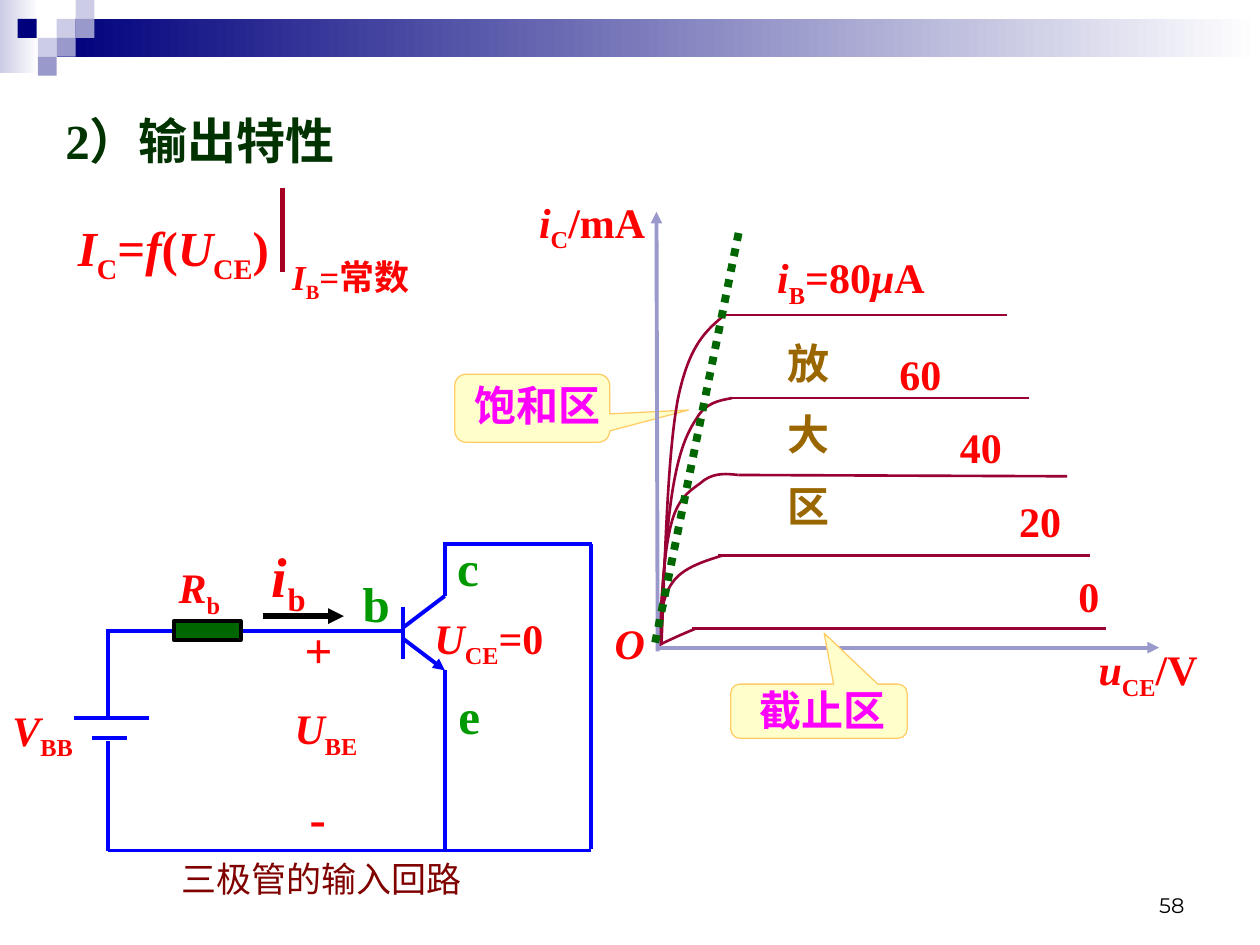
from lxml.etree import SubElement
from pptx import Presentation
from pptx.dml.color import RGBColor
from pptx.enum.dml import MSO_LINE
from pptx.enum.shapes import MSO_CONNECTOR, MSO_SHAPE
from pptx.enum.text import MSO_ANCHOR, MSO_AUTO_SIZE, PP_ALIGN
from pptx.oxml.ns import qn
from pptx.util import Inches, Pt

RED, WIRE, AXIS, CURVE = "FF0000", "0000FF", "9999CC", "990033"
NAVY, PALE, GREEN, MAGENTA = "00007D", "CCCCE6", "009900", "FF00FF"


def color(value):
    return RGBColor.from_string(value)


def it(text):
    return text, "italic"


def sub(text):
    return text, "sub"


class SlideBuilder:
    font = "Times New Roman"

    def __init__(self, slide):
        self.slide = slide

    def outline(self, sp, line, width, dash=None):
        sp.line.color.rgb = color(line)
        sp.line.width = Pt(width)
        if dash:
            sp.line.dash_style = dash

    def shape(self, x, y, w, h, fill, line=None, width=0.75, kind=MSO_SHAPE.RECTANGLE, adj=()):
        sp = self.slide.shapes.add_shape(kind, Inches(x), Inches(y), Inches(w), Inches(h))
        sp.shadow.inherit = False
        for i, value in enumerate(adj):
            sp.adjustments[i] = value
        if isinstance(fill, tuple):
            sp.fill.gradient()
            sp.fill.gradient_angle = 0
            for stop, value in zip(sp.fill.gradient_stops, fill):
                stop.color.rgb = color(value)
        else:
            sp.fill.solid()
            sp.fill.fore_color.rgb = color(fill)
        if line:
            self.outline(sp, line, width)
        else:
            sp.line.fill.background()

    def callout(self, x, y, w, h, adj):
        self.shape(x, y, w, h, "FFFFCC", "FFCC66",
                   kind=MSO_SHAPE.ROUNDED_RECTANGULAR_CALLOUT, adj=adj)

    def line(self, x1, y1, x2, y2, line, width=2.25, arrow=False):
        sp = self.slide.shapes.add_connector(
            MSO_CONNECTOR.STRAIGHT, Inches(x1), Inches(y1), Inches(x2), Inches(y2))
        self.outline(sp, line, width)
        if arrow:
            SubElement(sp.line._get_or_add_ln(), qn("a:tailEnd"), type="triangle")
        SubElement(sp._element.spPr, qn("a:effectLst"))

    def curve(self, points, line, width, dash=None):
        """Joined cubic curves: a start, then three points per curve."""
        start, *rest = [(Inches(x), Inches(y)) for x, y in points]
        fb = self.slide.shapes.build_freeform(*start)
        fb.add_line_segments(rest, close=False)
        sp = fb.convert_to_shape()
        # Turn every three straight segments into one cubic curve
        segments = list(sp._element.iter(qn("a:lnTo")))
        outline = segments[0].getparent()
        for i in range(0, len(segments), 3):
            cubic = SubElement(outline, qn("a:cubicBezTo"))
            for segment in segments[i:i + 3]:
                cubic.append(segment[0])
                outline.remove(segment)
        sp.shadow.inherit = False
        sp.fill.background()
        self.outline(sp, line, width, dash)

    def text(self, x, y, w, h, size, fill, *paragraphs, bold=True, font=None,
             align=PP_ALIGN.LEFT, anchor=MSO_ANCHOR.TOP):
        """Each paragraph is a string or a list of runs."""
        sp = self.slide.shapes.add_textbox(Inches(x), Inches(y), Inches(w), Inches(h))
        tf = sp.text_frame
        tf.word_wrap = True
        tf.auto_size = MSO_AUTO_SIZE.NONE
        tf.vertical_anchor = anchor
        for i, runs in enumerate(paragraphs):
            p = tf.add_paragraph() if i else tf.paragraphs[0]
            p.alignment = align
            p.space_before = Pt(size / 2 if i else 0)
            for run in [runs] if isinstance(runs, str) else runs:
                content, kind = (run, None) if isinstance(run, str) else run
                r = p.add_run()
                r.text = content
                r.font.name = font or self.font
                r.font.size = Pt(size)
                r.font.bold = bold
                r.font.italic = kind == "italic"
                r.font.color.rgb = color(fill)
                if kind == "sub":
                    r._r.get_or_add_rPr().set("baseline", "-25000")


def main():
    prs = Presentation()
    prs.slide_width, prs.slide_height = Inches(10), Inches(7.5)
    s = SlideBuilder(prs.slides.add_slide(prs.slide_layouts[6]))

    # Header band and squares
    s.shape(0, 0, 0.31, 0.58, (PALE, "FFFFFF"))
    s.shape(0.45, 0.15, 9.55, 0.3, (NAVY, "FFFFFF"))
    for x, y, fill in [(0.45, 0.15, PALE), (0.6, 0, PALE), (0.6, 0.15, AXIS),
                       (0.3, 0.3, PALE), (0.14, 0.15, NAVY), (0.45, 0.3, AXIS),
                       (0.3, 0.45, AXIS)]:
        s.shape(x, y, 0.15, 0.15, fill)
    s.text(7.17, 6.83, 2.33, 0.5, 12, "000000", "58", bold=False, font="Montserrat",
           align=PP_ALIGN.RIGHT, anchor=MSO_ANCHOR.BOTTOM)

    # Title and formula
    s.text(0.42, 0.83, 3.16, 0.57, 28, "003300", "2）输出特性")
    s.text(0.52, 1.68, 2.48, 0.57, 28, RED,
           [it("I"), sub("C"), "=", it("f"), "(", it("U"), sub("CE"), ")"])
    s.line(2.24, 1.49, 2.24, 2.16, "A50021", 3)
    s.text(2.22, 1.98, 1.92, 0.43, 20, RED, [it("I"), sub("B"), "=常数"])

    # Output curves: rising part, then the flat line
    s.callout(3.61, 2.97, 1.23, 0.54, (1.008, 0.027, 0.167))
    curves = [
        ([(5.23, 5.12), (5.24, 4.93), (5.25, 4.74), (5.34, 4.62),
          (5.42, 4.51), (5.57, 4.46), (5.73, 4.41)], (5.7, 4.41, 8.65, 4.41)),
        ([(5.23, 5.14), (5.25, 4.75), (5.27, 4.37), (5.33, 4.15), (5.39, 3.92),
          (5.51, 3.88), (5.59, 3.81), (5.68, 3.75), (5.77, 3.76), (5.86, 3.77)],
         (5.86, 3.77, 8.47, 3.78)),
        ([(5.23, 5.12), (5.23, 5.12), (5.37, 5.05), (5.52, 4.99)], (5.49, 4.99, 8.78, 4.99)),
        ([(5.23, 5.12), (5.26, 4.65), (5.29, 4.18), (5.34, 3.88), (5.39, 3.58),
          (5.45, 3.44), (5.53, 3.32), (5.6, 3.2), (5.7, 3.18), (5.81, 3.16)],
         (5.81, 3.16, 8.17, 3.16)),
        ([(5.25, 5.12), (5.28, 4.36), (5.3, 3.6), (5.38, 3.17),
          (5.47, 2.73), (5.61, 2.62), (5.75, 2.5)], (5.75, 2.5, 7.99, 2.5)),
    ]
    for rise, flat in curves:
        s.curve(rise, CURVE, 1.5)
        s.line(*flat, CURVE, 1.5)

    # Axes and curve labels
    s.line(5.23, 5.14, 9.2, 5.14, AXIS, arrow=True)
    s.line(5.22, 5.17, 5.21, 1.68, AXIS, arrow=True)
    for x, y, w, runs in [
            (4.18, 1.51, 1.21, [it("i"), sub("C"), "/mA"]),
            (4.78, 4.85, 0.55, [it("O")]),
            (8.62, 5.06, 1.11, [it("u"), sub("CE"), "/V"]),
            (6.07, 1.95, 1.86, [it("i"), sub("B"), "=80", it("μ"), "А"]),
            (7.04, 2.72, 0.88, "60"), (7.52, 3.3, 0.82, "40"),
            (7.99, 3.88, 0.69, "20"), (8.46, 4.48, 0.47, "0")]:
        s.text(x, y, w, 0.5, 24, RED, runs)
    s.curve([(5.2, 5.1), (5.48, 3.73), (5.76, 2.36), (5.87, 1.81)],
            "006600", 4.5, MSO_LINE.ROUND_DOT)

    # Region names
    s.text(3.67, 2.96, 1.31, 0.5, 24, MAGENTA, "饱和区")
    s.text(6.15, 2.63, 0.56, 1.7, 24, "996600", *"放大区")
    s.callout(5.8, 5.43, 1.4, 0.43, (0.03, -1.439, 0.167))
    s.text(5.93, 5.38, 1.36, 0.5, 24, MAGENTA, "截止区")

    # Circuit wires
    for wire in [(0.86, 6.75, 4.69, 6.75), (0.86, 4.99, 0.86, 5.7), (0.59, 5.7, 1.18, 5.7),
                 (0.73, 5.86, 1.01, 5.86), (0.86, 5.88, 0.86, 6.75), (3.52, 4.32, 4.7, 4.32),
                 (3.53, 5.68, 3.53, 6.75), (3.53, 5.32, 3.53, 5.73), (3.2, 4.82, 3.2, 5.23),
                 (3.2, 4.98, 3.53, 4.73), (3.53, 4.73, 3.53, 4.32), (3.2, 5.01, 2.78, 5.01),
                 (2.78, 5.01, 0.87, 5.01), (4.69, 4.32, 4.69, 6.74)]:
        s.line(*wire, WIRE)
    s.line(3.2, 5.07, 3.53, 5.32, WIRE, arrow=True)
    s.line(2.09, 4.89, 2.73, 4.89, "000000", 3, arrow=True)
    s.shape(1.38, 4.93, 0.53, 0.15, "006600", "000000", 2.25)

    # Circuit labels
    for x, y, w, h, size, fill, runs in [
            (2.24, 5.53, 0.81, 0.5, 24, RED, [it("U"), sub("BE")]),
            (2.06, 4.25, 0.89, 0.63, 32, RED, [it("i"), sub("b")]),
            (2.32, 4.87, 0.44, 0.57, 28, RED, "+"),
            (2.36, 6.2, 0.44, 0.57, 28, RED, "-"),
            (3.35, 4.81, 1.16, 0.5, 24, RED, [it("U"), sub("CE"), "=0"]),
            (0, 5.54, 0.8, 0.5, 24, RED, [it("V"), sub("BB")]),
            (1.32, 4.41, 0.64, 0.5, 24, RED, [it("R"), sub("b")]),
            (2.78, 4.5, 0.48, 0.57, 28, GREEN, "b"),
            (3.54, 5.39, 0.48, 0.57, 28, GREEN, "e"),
            (3.53, 4.22, 0.48, 0.57, 28, GREEN, "c")]:
        s.text(x, y, w, h, size, fill, runs)
    s.text(1.34, 6.76, 3.15, 0.43, 20, "800000", "三极管的输入回路", bold=False)

    prs.save("out.pptx")


if __name__ == "__main__":
    main()
